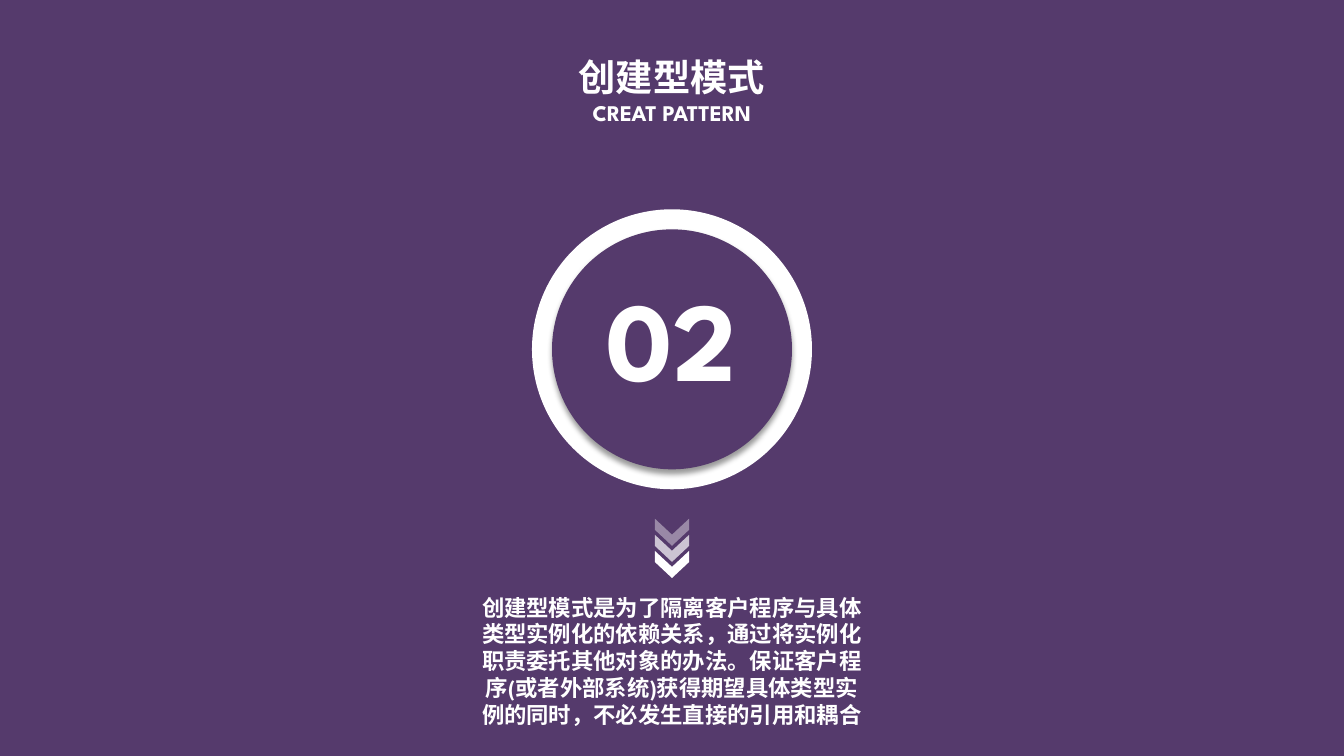
import pptx
import pptx.util
import pptx.dml.color
import pptx.enum.shapes
import pptx.enum.text
import pptx.oxml
import pptx.oxml.ns

Pt = pptx.util.Pt
SHAPE = pptx.enum.shapes.MSO_SHAPE
FONT = "League Spartan"
COLORS = {"ground": "553A6C", "light": "FFFFFF", "shade": "000000"}
MID = 480
BODY = (
    "创建型模式是为了隔离客户程序与具体类型实例化的依赖关系，"
    "通过将实例化职责委托其他对象的办法。"
    "保证客户程序(或者外部系统)获得期望具体类型实例的同时，"
    "不必发生直接的引用和耦合"
)


def rgb(name):
    return pptx.dml.color.RGBColor.from_string(COLORS[name])


def add_form(group, kind, center, width, height, color):
    form = group.shapes.add_shape(
        kind, Pt(MID - width / 2), Pt(center - height / 2), Pt(width), Pt(height)
    )
    form.shadow.inherit = False
    form.fill.solid()
    form.fill.fore_color.rgb = rgb(color)
    form.line.fill.background()
    return form


def set_text(form, lines):
    frame = form.text_frame
    frame.word_wrap = True
    frame.vertical_anchor = pptx.enum.text.MSO_ANCHOR.MIDDLE
    frame.text = "\n".join(text for text, size in lines)
    for para, (text, size) in zip(frame.paragraphs, lines):
        para.alignment = pptx.enum.text.PP_ALIGN.CENTER
        font = para.runs[0].font
        font.name = FONT
        font.size = Pt(size)
        font.bold = True
        font.color.rgb = rgb("light")
    return frame


def add_label(slide, top, height, lines):
    width = 295.2
    box = slide.shapes.add_textbox(Pt(MID - width / 2), Pt(top), Pt(width), Pt(height))
    frame = set_text(box, lines)
    frame.auto_size = pptx.enum.text.MSO_AUTO_SIZE.SHAPE_TO_FIT_TEXT


def add_shade(form):
    effects = form._element.spPr.find(pptx.oxml.ns.qn("a:effectLst"))
    effects.append(pptx.oxml.parse_xml(
        f'<a:outerShdw {pptx.oxml.ns.nsdecls("a")} blurRad="{Pt(4)}" dist="{Pt(3)}" '
        f'dir="5400000" algn="t" rotWithShape="0"><a:srgbClr val="{COLORS["shade"]}">'
        '<a:alpha val="40000"/></a:srgbClr></a:outerShdw>'
    ))


def add_badge(slide, number):
    group = slide.shapes.add_group_shape()
    add_form(group, SHAPE.OVAL, 249.5, 200, 200, "light")
    disc = add_form(group, SHAPE.OVAL, 249.5, 171.4, 171.4, "ground")
    add_shade(disc)
    set_text(disc, [(number, 80)]).paragraphs[0].line_spacing = 0.8


def add_arrows(slide):
    group = slide.shapes.add_group_shape()
    for index, alpha in enumerate((40, 70, 100)):
        arrow = add_form(group, SHAPE.CHEVRON, 380.2 + 11.5 * index, 19.4, 24.5, "light")
        arrow.rotation = 90
        arrow.adjustments[0] = 0.59
        if alpha < 100:
            color = arrow._element.spPr.find(".//" + pptx.oxml.ns.qn("a:srgbClr"))
            color.append(pptx.oxml.parse_xml(
                f'<a:alpha {pptx.oxml.ns.nsdecls("a")} val="{alpha * 1000}"/>'
            ))


def main():
    deck = pptx.Presentation()
    deck.slide_width = Pt(2 * MID)
    deck.slide_height = Pt(540)
    slide = deck.slides.add_slide(deck.slide_layouts[6])
    slide.background.fill.solid()
    slide.background.fill.fore_color.rgb = rgb("ground")
    add_badge(slide, "02")
    add_arrows(slide)
    add_label(slide, 34.6, 59, [("创建型模式", 26.6), ("CREAT PATTERN", 16)])
    add_label(slide, 419.8, 104.4, [(BODY, 16)])
    deck.save("out.pptx")


if __name__ == "__main__":
    main()
